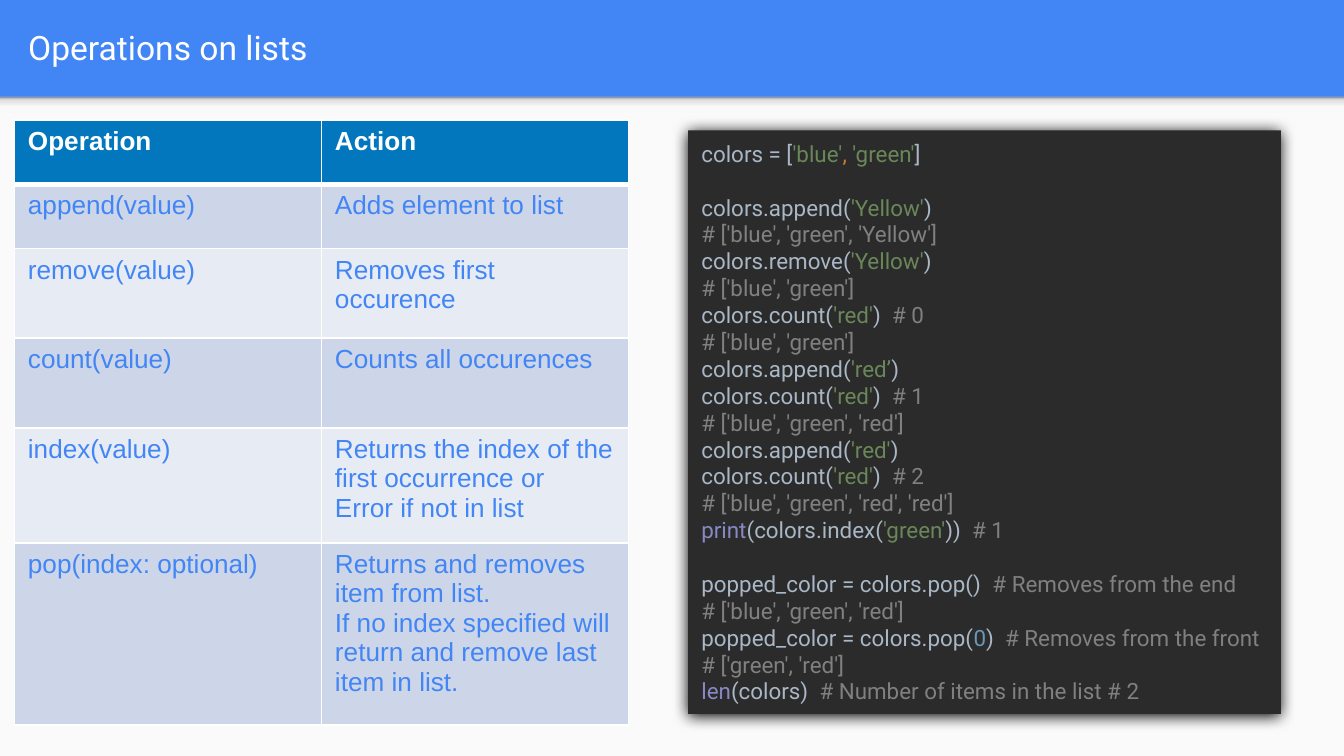
import lxml.etree
import pptx
import pptx.dml.color
import pptx.enum.shapes
import pptx.enum.text
import pptx.oxml.ns
import pptx.util

WHITE = pptx.dml.color.RGBColor(0xFF, 0xFF, 0xFF)
BLUE = pptx.dml.color.RGBColor(0x42, 0x85, 0xF4)
PAPER = pptx.dml.color.RGBColor(0xFA, 0xFA, 0xFA)
HEADER = pptx.dml.color.RGBColor(0x02, 0x77, 0xBD)
DARK_BAND = pptx.dml.color.RGBColor(0xCC, 0xD6, 0xE8)
LIGHT_BAND = pptx.dml.color.RGBColor(0xE7, 0xEC, 0xF4)
EDITOR = pptx.dml.color.RGBColor(0x2B, 0x2B, 0x2B)
PLAIN = pptx.dml.color.RGBColor(0xA9, 0xB7, 0xC6)
STRING = pptx.dml.color.RGBColor(0x6A, 0x87, 0x59)
COMMA = pptx.dml.color.RGBColor(0xCC, 0x78, 0x32)
COMMENT = pptx.dml.color.RGBColor(0x80, 0x80, 0x80)
BUILTIN = pptx.dml.color.RGBColor(0x88, 0x88, 0xC6)
NUMBER = pptx.dml.color.RGBColor(0x68, 0x97, 0xBB)

presentation = pptx.Presentation()
presentation.slide_width = pptx.util.Inches(10)
presentation.slide_height = presentation.slide_width * 9 // 16
column = presentation.slide_width / 100
row = presentation.slide_height / 100
slide = presentation.slides.add_slide(presentation.slide_layouts[5])
slide.background.fill.solid()
slide.background.fill.fore_color.rgb = BLUE


def add_block(left, top, width, height, color):
    shape = slide.shapes.add_shape(
        pptx.enum.shapes.MSO_SHAPE.RECTANGLE,
        int(left * column), int(top * row), int(width * column), int(height * row))
    shape.shadow.inherit = False
    shape.line.fill.background()
    shape.fill.solid()
    shape.fill.fore_color.rgb = color
    return shape


def add_run(paragraph, text, size, font, color, bold=False):
    run = paragraph.add_run()
    run.text = text
    run.font.size = pptx.util.Pt(size)
    run.font.name = font
    run.font.color.rgb = color
    run.font.bold = bold


add_block(0, 12.8, 100, 87.2, PAPER)
header_shadow = add_block(0, 12.8, 100, 2.1, PAPER)
header_shadow.fill.gradient()
header_shadow.fill.gradient_angle = 90
stop_list = header_shadow.element.spPr.find(".//" + pptx.oxml.ns.qn("a:gsLst"))
stop_list.clear()
for position, color in [(0, "F9F9F9"), (36, "F9F9F9"), (80, "DEDEDE"), (100, "999999")]:
    stop = lxml.etree.SubElement(stop_list, pptx.oxml.ns.qn("a:gs"), pos=str(position * 1000))
    lxml.etree.SubElement(stop, pptx.oxml.ns.qn("a:srgbClr"), val=color)

title = slide.shapes.title
title.left, title.top = int(1.1 * column), int(0.4 * row)
title.width, title.height = int(96.5 * column), int(11.7 * row)
frame = title.text_frame
frame.margin_left = frame.margin_right = pptx.util.Inches(0.1)
frame.margin_top = frame.margin_bottom = pptx.util.Inches(0.1)
frame.vertical_anchor = pptx.enum.text.MSO_ANCHOR.MIDDLE
frame.paragraphs[0].alignment = pptx.enum.text.PP_ALIGN.LEFT
add_run(frame.paragraphs[0], "Operations on lists", 18, "Roboto", WHITE)

operations = [
    ("Operation", ["Action"], 8.5),
    ("append(value)", ["Adds element to list"], 8.5),
    ("remove(value)", ["Removes first occurence"], 11.85),
    ("count(value)", ["Counts all occurences"], 11.85),
    ("index(value)", ["Returns the index of the first occurrence or", "Error if not in list"], 15.25),
    ("pop(index: optional)", ["Returns and removes item from list.",
     "If no index specified will return and remove last item in list."], 24.1),
]
table = slide.shapes.add_table(
    len(operations), 2, int(1.08 * column), int(15.9 * row),
    int(45.7 * column), int(80 * row)).table
for index, (operation, action, height) in enumerate(operations):
    table.rows[index].height = int(height * row)
    heading = index == 0
    band = HEADER if heading else DARK_BAND if index % 2 else LIGHT_BAND
    for cell, lines in zip(table.rows[index].cells, ([operation], action)):
        properties = cell._tc.get_or_add_tcPr()
        for side in "LRTB":
            thick = heading and side == "B" or index == 1 and side == "T"
            border = lxml.etree.SubElement(
                properties, pptx.oxml.ns.qn("a:ln" + side),
                w=str(pptx.util.Pt(3 if thick else 1)))
            fill = lxml.etree.SubElement(border, pptx.oxml.ns.qn("a:solidFill"))
            lxml.etree.SubElement(fill, pptx.oxml.ns.qn("a:srgbClr"), val=str(WHITE))
        cell.fill.solid()
        cell.fill.fore_color.rgb = band
        for number, line in enumerate(lines):
            frame = cell.text_frame
            paragraph = frame.add_paragraph() if number else frame.paragraphs[0]
            add_run(paragraph, line, 14, "Arial", WHITE if heading else BLUE, heading)

editor = add_block(51.2, 17.25, 44.1, 77.2, EDITOR)
shadow = lxml.etree.SubElement(
    editor.element.spPr.find(pptx.oxml.ns.qn("a:effectLst")), pptx.oxml.ns.qn("a:outerShdw"),
    blurRad=str(pptx.util.Pt(8.5)), dist=str(pptx.util.Pt(1)), dir="5400000", rotWithShape="0")
lxml.etree.SubElement(shadow, pptx.oxml.ns.qn("a:srgbClr"), val="000000")

code = [
    [[("colors = [", PLAIN), ("'blue'", STRING), (", ", COMMA), ("'green'", STRING), ("]", PLAIN)]],
    [[("colors.append(", PLAIN), ("'Yellow'", STRING), (")", PLAIN)],
     [("# ['blue', 'green', 'Yellow']", COMMENT)],
     [("colors.remove(", PLAIN), ("'Yellow'", STRING), (")", PLAIN)],
     [("# ['blue', 'green']", COMMENT)],
     [("colors.count(", PLAIN), ("'red'", STRING), (")  ", PLAIN), ("# 0", COMMENT)],
     [("# ['blue', 'green']", COMMENT)]],
]
for word, count, result in [("'red’", "# 1", "# ['blue', 'green', 'red']"),
                            ("'red'", "# 2", "# ['blue', 'green', 'red', 'red']")]:
    code.append([
        [("colors.append(", PLAIN), (word, STRING), (")", PLAIN)],
        [("colors.count(", PLAIN), ("'red'", STRING), (")  ", PLAIN), (count, COMMENT)],
        [(result, COMMENT)]])
code += [
    [[("print", BUILTIN), ("(colors.index(", PLAIN), ("'green'", STRING), ("))  ", PLAIN),
      ("# 1", COMMENT)]],
    [[("popped_color = colors.pop()  ", PLAIN), ("# Removes from the end", COMMENT)]],
    [[("# ['blue', 'green', 'red']", COMMENT)],
     [("popped_color = colors.pop(", PLAIN), ("0", NUMBER), (")  ", PLAIN),
      ("# Removes from the front", COMMENT)],
     [("# ['green', 'red']", COMMENT)]],
    [[("len", BUILTIN), ("(colors)  ", PLAIN), ("# Number of items in the list # 2", COMMENT)]],
]
spaced_paragraphs = (1, 5)

frame = editor.text_frame
frame.word_wrap = False
frame.auto_size = pptx.enum.text.MSO_AUTO_SIZE.SHAPE_TO_FIT_TEXT
frame.vertical_anchor = pptx.enum.text.MSO_ANCHOR.MIDDLE
for index, lines in enumerate(code):
    paragraph = frame.add_paragraph() if index else frame.paragraphs[0]
    paragraph.alignment = pptx.enum.text.PP_ALIGN.LEFT
    if index in spaced_paragraphs:
        paragraph.space_before = pptx.util.Pt(14.4)
    for number, line in enumerate(lines):
        if number:
            paragraph.add_line_break()
        for text, color in line:
            add_run(paragraph, text, 12, "Roboto", color)

presentation.save("out.pptx")
